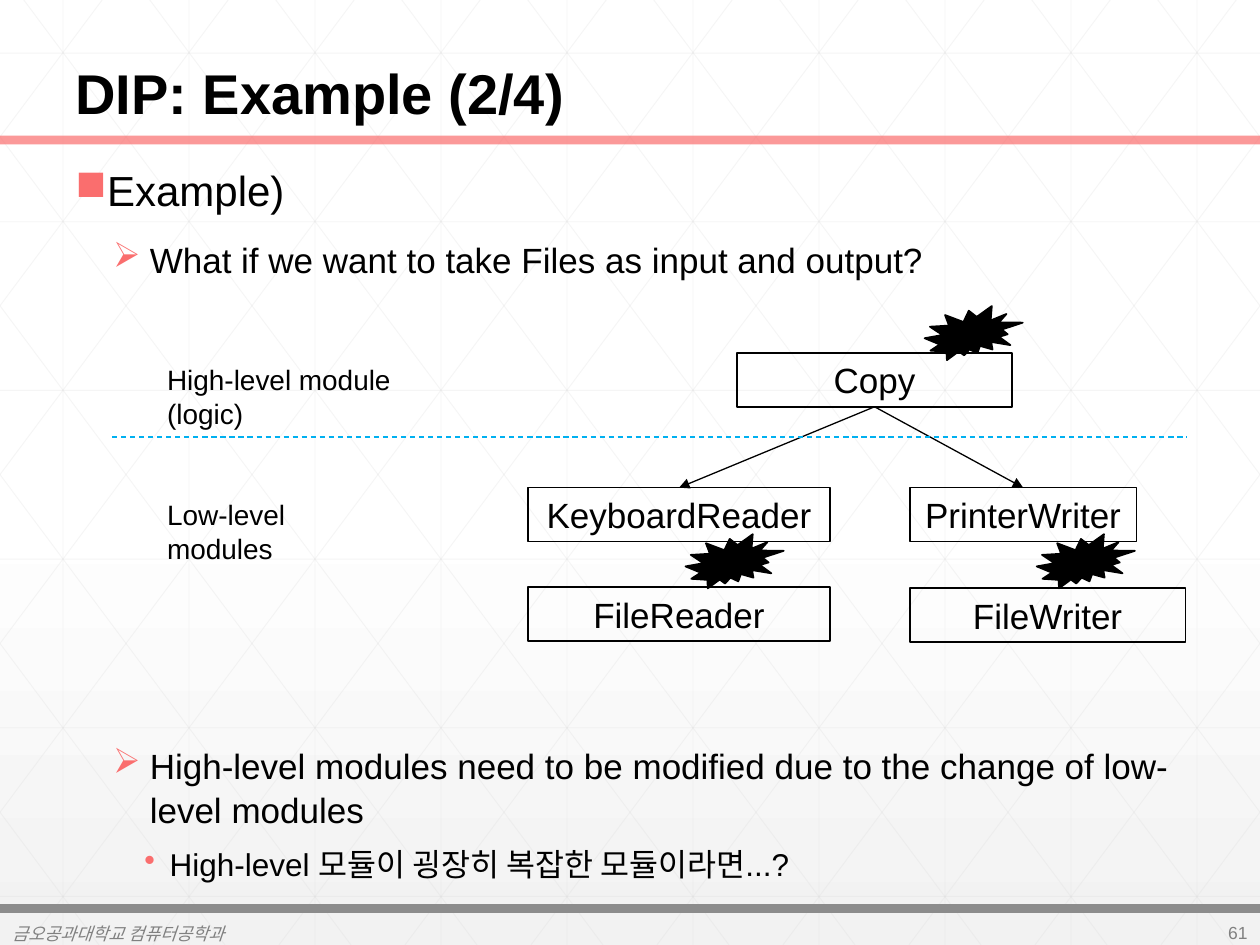
from lxml import etree
from pptx import Presentation
from pptx import util as u
from pptx.dml.color import RGBColor
from pptx.enum import dml, shapes, text
from pptx.oxml.ns import qn

BLACK = RGBColor(0x00, 0x00, 0x00)
WHITE = RGBColor(0xFF, 0xFF, 0xFF)
PALE = RGBColor(0xF2, 0xF2, 0xF2)
GRID = RGBColor(0xD9, 0xD9, 0xD9)
CORAL = RGBColor(0xFA, 0x6E, 0x6E)
BAR_GREY = RGBColor(0x8C, 0x8C, 0x8C)
FOOTER_GREY = RGBColor(0x80, 0x80, 0x80)
BLUE = RGBColor(0x00, 0xB0, 0xF0)

W, H = 25.4, 19.05  # all lengths in cm
LEFT, RIGHT = text.PP_ALIGN.LEFT, text.PP_ALIGN.RIGHT
CENTER = text.PP_ALIGN.CENTER
TOP, MIDDLE = text.MSO_ANCHOR.TOP, text.MSO_ANCHOR.MIDDLE
BOTTOM = text.MSO_ANCHOR.BOTTOM

# text, box, anchor, alignment, font
TEXTS = [
    ("DIP: Example (2/4)", (1.27, 0, 22.86, 2.67), BOTTOM, LEFT, dict(size=u.Pt(32), bold=True)),
    ("금오공과대학교 컴퓨터공학과", (0, 18.52, 12.78, 0.61), MIDDLE, LEFT,
     dict(size=u.Pt(10), italic=True, color=FOOTER_GREY)),
    ("61", (23.5, 18.49, 1.9, 0.61), MIDDLE, RIGHT, dict(size=u.Pt(10), color=FOOTER_GREY)),
    ("High-level module (logic)", (3.12, 7.19, 6.48, 0.94), TOP, LEFT, dict(size=u.Pt(16))),
    ("Low-level modules", (3.12, 9.91, 4.93, 0.94), TOP, LEFT, dict(size=u.Pt(16))),
]

BODY_BOX = (1.27, 3.23, 22.86, 14.81)
# bullet, margin, hanging, line spacing, space before, size
LEVELS = [("■", 0.64, 0.64, 0.9, 0, 24), ("➢", 1.5, 0.74, 1.05, 12, 20), ("•", 1.9, 0.51, 1.0, 8, 18)]
DIAGRAM_GAP = 252  # points left free for the diagram
# level, text, extra space before
BODY = [
    (0, "Example)", 0),
    (1, "What if we want to take Files as input and output?", 0),
    (1, "High-level modules need to be modified due to the change of low-level modules", DIAGRAM_GAP),
    (2, "High-level 모듈이 굉장히 복잡한 모듈이라면...?", 0),
]

MODULE_H = 1.09
# name: left, top, width
MODULES = {
    "Copy": (14.86, 7.11, 5.54),
    "KeyboardReader": (10.64, 9.83, 6.1),
    "PrinterWriter": (18.34, 9.83, 4.57),
    "FileReader": (10.64, 11.84, 6.1),
    "FileWriter": (18.34, 11.86, 5.56),
}
DEPENDENCIES = [("Copy", "KeyboardReader"), ("Copy", "PrinterWriter")]
BURSTS = [(13.82, 10.77), (20.9, 10.77), (18.64, 6.17)]
BURST_SIZE = (1.98, 1.09)


def cm(values):
    return [u.Cm(v) for v in values]


def set_alpha(sp, percent):
    color = sp.line._ln.find(".//" + qn("a:srgbClr"))
    etree.SubElement(color, qn("a:alpha"), val=str(percent * 1000))


def add_line(parent, ends, color, width, alpha=None):
    sp = parent.add_connector(shapes.MSO_CONNECTOR.STRAIGHT, *cm(ends))
    sp.line.color.rgb, sp.line.width = color, u.Pt(width)
    etree.SubElement(sp._element.spPr, qn("a:effectLst"))
    if alpha:
        set_alpha(sp, alpha)
    return sp


def add_run(p, content, color=BLACK, **font):
    r = p.add_run()
    r.text = content
    r.font.color.rgb = color
    for name, value in dict(name="Arial", **font).items():
        setattr(r.font, name, value)


def fill_text(sp, content, anchor, align, font):
    tf = sp.text_frame
    tf.word_wrap, tf.vertical_anchor = True, anchor
    p = tf.paragraphs[0]
    p.alignment = align
    add_run(p, content, **font)


def add_solid(s, kind, box, fill=None):
    """Add a black-outlined preset shape, unfilled unless a fill is given."""
    sp = s.shapes.add_shape(kind, *cm(box))
    sp.shadow.inherit = False
    sp.line.color.rgb, sp.line.width = BLACK, u.Pt(1)
    if fill is None:
        sp.fill.background()
    else:
        sp.fill.solid()
        sp.fill.fore_color.rgb = fill
    return sp


def add_background(s):
    fill = s.background.fill
    fill.gradient()
    fill.gradient_angle = 270
    for stop, (position, color) in zip(fill.gradient_stops, [(0.53, WHITE), (1, PALE)]):
        stop.position, stop.color.rgb = position, color

    step, slope = 2.54, 1.34
    lines = [(1.27 + step * i, 0, 1.27 + step * i, H) for i in range(10)]
    lines += [(0, 1.07 + 3.4 * i, W, 1.07 + 3.4 * i) for i in range(6)]
    for i in range(-5, 10):
        x = 0.48 + step * i  # where the diagonal meets the top edge
        x1, x2 = max(x, 0), min(x + H / slope, W)
        y1, y2 = (x1 - x) * slope, (x2 - x) * slope
        lines += [(x1, y1, x2, y2), (W - x1, y1, W - x2, y2)]
    grid = s.shapes.add_group_shape()
    for ends in lines:
        add_line(grid.shapes, ends, GRID, 0.5, alpha=25)
    add_line(s.shapes, (0, 2.82, W, 2.82), CORAL, 5, alpha=70)
    add_line(s.shapes, (0, 18.31, W, 18.31), BAR_GREY, 5)


def add_body(s):
    tf = s.shapes.add_textbox(*cm(BODY_BOX)).text_frame
    tf.word_wrap, tf.margin_top = True, u.Cm(0.2)
    for i, (level, content, extra) in enumerate(BODY):
        bullet, margin, hanging, spacing, before, size = LEVELS[level]
        p = tf.add_paragraph() if i else tf.paragraphs[0]
        p.level = level
        pPr = p._p.get_or_add_pPr()
        pPr.set("marL", str(u.Cm(margin)))
        pPr.set("indent", str(-u.Cm(hanging)))
        color = etree.SubElement(pPr, qn("a:buClr"))
        etree.SubElement(color, qn("a:srgbClr"), val=str(CORAL))
        etree.SubElement(pPr, qn("a:buChar"), char=bullet)
        p.line_spacing, p.space_before = spacing, u.Pt(before + extra)
        add_run(p, content, size=u.Pt(size))


def add_diagram(s):
    boxes = {}
    for name, (x, y, w) in MODULES.items():
        boxes[name] = add_solid(s, shapes.MSO_SHAPE.RECTANGLE, (x, y, w, MODULE_H))
        fill_text(boxes[name], name, MIDDLE, CENTER, dict(size=u.Pt(20)))
    for user, used in DEPENDENCIES:
        arrow = add_line(s.shapes, (0, 0, 1, 1), BLACK, 0.75)
        arrow.begin_connect(boxes[user], 2)
        arrow.end_connect(boxes[used], 0)
        etree.SubElement(arrow.line._ln, qn("a:tailEnd"), type="triangle")
    boundary = add_line(s.shapes, (2.26, 8.81, 23.93, 8.81), BLUE, 0.75)
    boundary.line.dash_style = dml.MSO_LINE.DASH
    for place in BURSTS:
        add_solid(s, shapes.MSO_SHAPE.EXPLOSION2, place + BURST_SIZE, BLACK)


def main():
    prs = Presentation()
    prs.slide_width, prs.slide_height = cm((W, H))
    s = prs.slides.add_slide(prs.slide_layouts[6])
    add_background(s)
    add_body(s)
    for content, box, anchor, align, font in TEXTS:
        fill_text(s.shapes.add_textbox(*cm(box)), content, anchor, align, font)
    add_diagram(s)
    prs.save("out.pptx")


if __name__ == "__main__":
    main()
